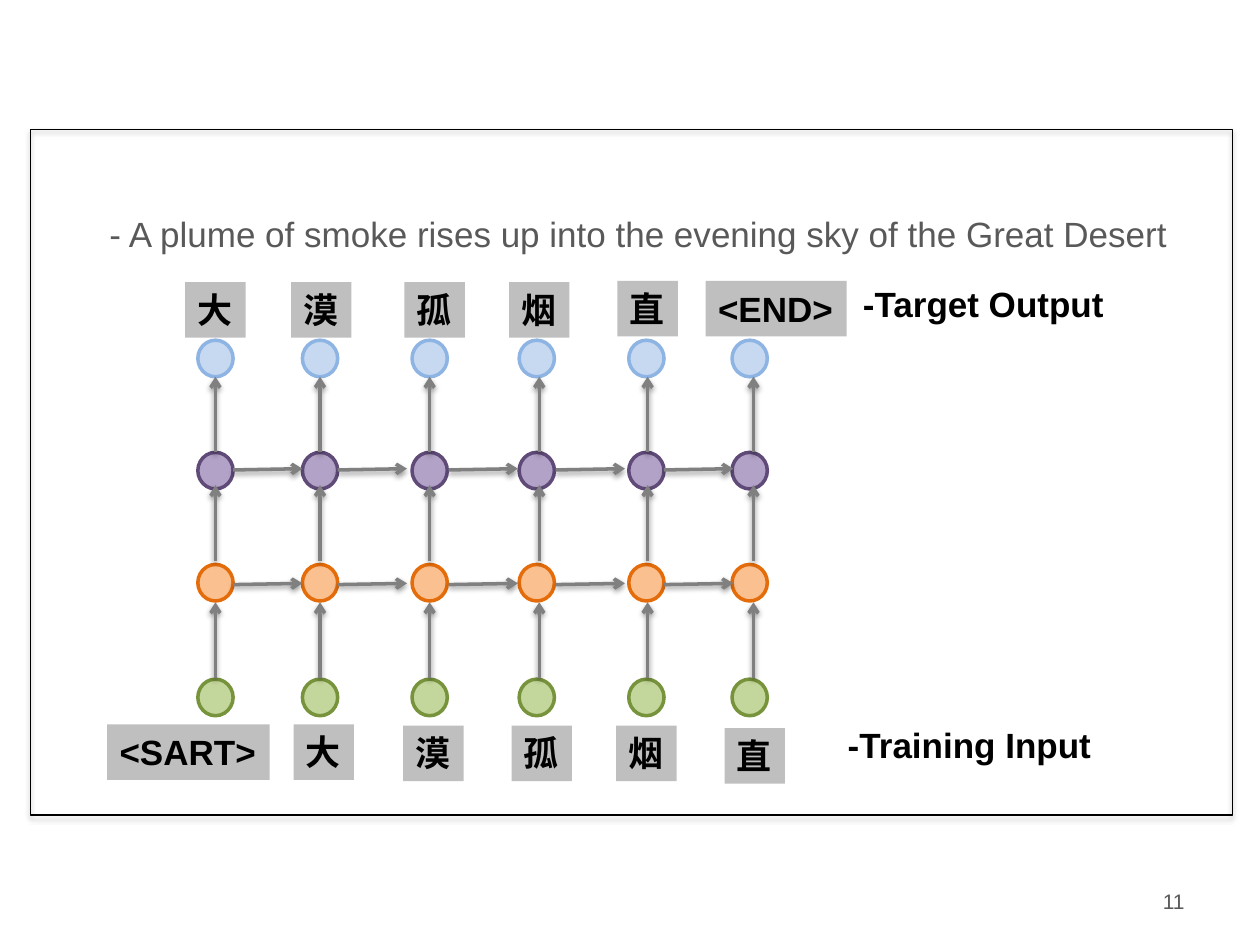
from lxml import etree
from pptx import Presentation
from pptx.dml.color import RGBColor
from pptx.enum.shapes import MSO_CONNECTOR, MSO_SHAPE
from pptx.enum.text import MSO_ANCHOR, MSO_AUTO_SIZE, PP_ALIGN
from pptx.oxml.ns import qn
from pptx.util import Inches, Pt

BLACK = RGBColor(0x00, 0x00, 0x00)
TEXT_GRAY = RGBColor(0x59, 0x59, 0x59)
LABEL_GRAY = RGBColor(0xBF, 0xBF, 0xBF)
ARROW_GRAY = RGBColor(0x80, 0x80, 0x80)
BLUE, BLUE_EDGE = RGBColor(0xC6, 0xD9, 0xF1), RGBColor(0x8E, 0xB4, 0xE3)
PURPLE, PURPLE_EDGE = RGBColor(0xB3, 0xA2, 0xC7), RGBColor(0x5F, 0x4A, 0x78)
ORANGE, ORANGE_EDGE = RGBColor(0xFA, 0xC0, 0x90), RGBColor(0xE4, 0x6C, 0x0A)
GREEN, GREEN_EDGE = RGBColor(0xC3, 0xD6, 0x9B), RGBColor(0x77, 0x93, 0x3C)

presentation = Presentation()
presentation.slide_width, presentation.slide_height = Inches(10), Inches(7.5)
slide = presentation.slides.add_slide(presentation.slide_layouts[6])


def add_soft_shadow(shape, distance, opacity):
    """Give the shape a downward black shadow; distance in points, opacity in percent."""
    effects = etree.SubElement(shape._element.spPr, qn("a:effectLst"))
    shadow = etree.SubElement(effects, qn("a:outerShdw"), blurRad=str(Pt(3.1)),
                              dist=str(Pt(distance)), dir="5400000", rotWithShape="0")
    color = etree.SubElement(shadow, qn("a:srgbClr"), val="000000")
    etree.SubElement(color, qn("a:alpha"), val=str(opacity * 1000))


def add_text(text, left, top, width, height=0.44, size=20, color=BLACK, bold=True):
    box = slide.shapes.add_textbox(Inches(left), Inches(top), Inches(width), Inches(height))
    frame = box.text_frame
    frame.word_wrap = False
    frame.auto_size = MSO_AUTO_SIZE.SHAPE_TO_FIT_TEXT
    frame.text = text
    font = frame.paragraphs[0].runs[0].font
    font.name, font.size, font.bold = "Arial", Pt(size), bold
    font.color.rgb = color
    return box


# Slide number
number = add_text("11", 7.17, 6.95, 2.33, 0.4, size=12, color=TEXT_GRAY, bold=False)
number.text_frame.word_wrap = True
number.text_frame.auto_size = MSO_AUTO_SIZE.NONE
number.text_frame.vertical_anchor = MSO_ANCHOR.MIDDLE
number.text_frame.paragraphs[0].alignment = PP_ALIGN.RIGHT

# Network nodes: one row per layer, one column per time step
node_lefts = [1.57, 2.4, 3.27, 4.12, 4.99, 5.81]
layers = [
    (2.7, BLUE, BLUE_EDGE),
    (3.59, PURPLE, PURPLE_EDGE),
    (4.48, ORANGE, ORANGE_EDGE),
    (5.39, GREEN, GREEN_EDGE),
]
for top, fill, edge in layers:
    for left in node_lefts:
        node = slide.shapes.add_shape(MSO_SHAPE.OVAL, Inches(left), Inches(top),
                                      Inches(0.28), Inches(0.29))
        node.shadow.inherit = False
        node.fill.solid()
        node.fill.fore_color.rgb = fill
        node.line.color.rgb = edge
        node.line.width = Pt(2)

# Token labels: text, left, top, width
labels = [
    ("<SART>", 0.85, 5.75, 1.29),
    ("大", 2.33, 5.75, 0.48),
    ("漠", 3.2, 5.76, 0.48),
    ("孤", 4.06, 5.76, 0.48),
    ("烟", 4.89, 5.76, 0.48),
    ("直", 5.75, 5.78, 0.48),
    ("大", 1.47, 2.24, 0.48),
    ("漠", 2.31, 2.24, 0.48),
    ("孤", 3.21, 2.24, 0.48),
    ("烟", 4.04, 2.24, 0.48),
    ("直", 4.9, 2.23, 0.48),
    ("<END>", 5.6, 2.23, 1.12),
]
for text, left, top, width in labels:
    label = add_text(text, left, top, width)
    label.fill.solid()
    label.fill.fore_color.rgb = LABEL_GRAY

# Arrows: upwards between layers, then rightwards within the hidden layers
arrows = [(x, bottom, x, bottom - 0.6)
          for bottom in (3.59, 4.45, 5.38)
          for x in (1.71, 2.54, 3.41, 4.28, 5.14, 5.98)]
arrows += [(x, y, x + 0.55, y - 0.01)
           for y in (3.73, 4.64)
           for x in (1.85, 2.68, 3.56, 4.41, 5.27)]
for x1, y1, x2, y2 in arrows:
    arrow = slide.shapes.add_connector(MSO_CONNECTOR.STRAIGHT, Inches(x1), Inches(y1),
                                       Inches(x2), Inches(y2))
    arrow.line.color.rgb = ARROW_GRAY
    arrow.line.width = Pt(2)
    etree.SubElement(arrow.line._get_or_add_ln(), qn("a:tailEnd"), type="arrow")
    add_soft_shadow(arrow, 1.6, 38)

# Captions
add_text("-Training Input", 6.63, 5.69, 2.16)
add_text("-Target Output", 6.75, 2.19, 2.15)
add_text("- A plume of smoke rises up into the evening sky of the Great Desert",
         0.77, 1.64, 8.7, color=TEXT_GRAY, bold=False)

# Frame around the diagram
border = slide.shapes.add_shape(MSO_SHAPE.RECTANGLE, Inches(0.24), Inches(1.03),
                                Inches(9.54), Inches(5.44))
border.fill.background()
border.line.color.rgb = BLACK
border.line.width = Pt(0.75)
add_soft_shadow(border, 1.8, 35)

presentation.save("out.pptx")
